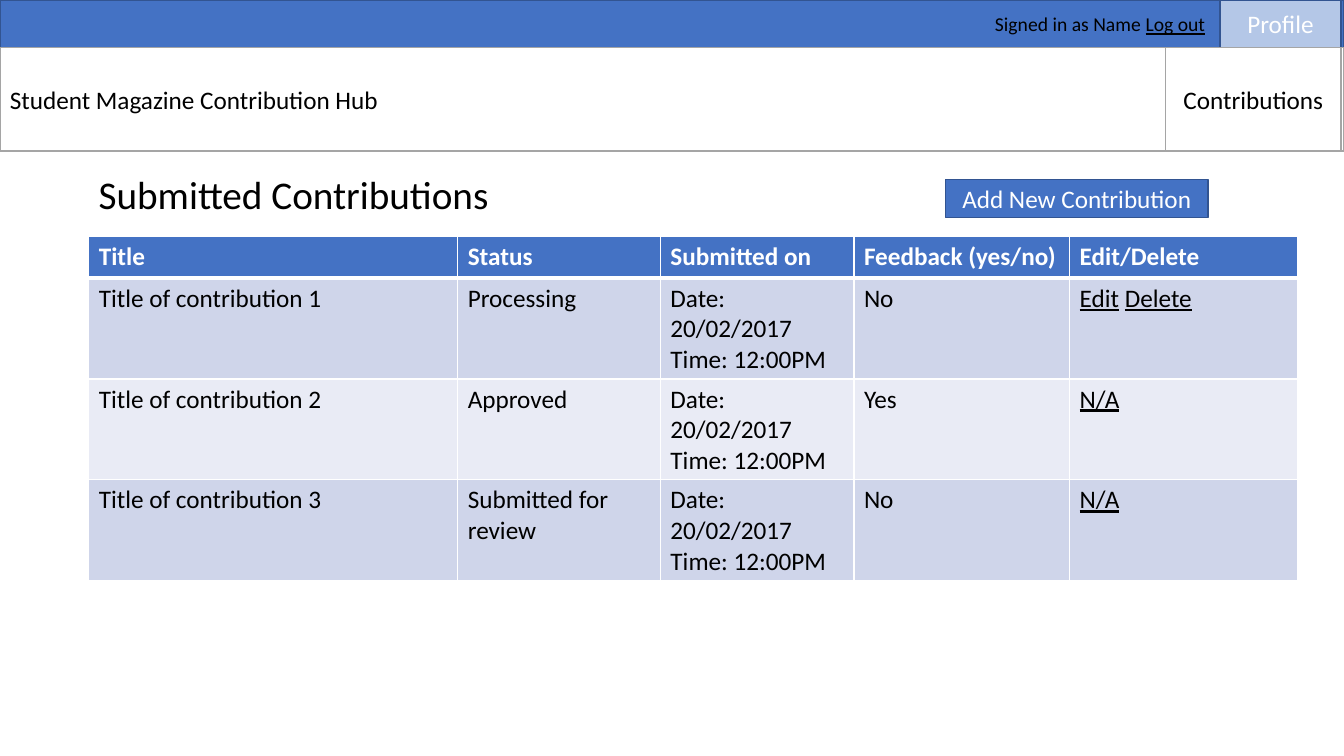
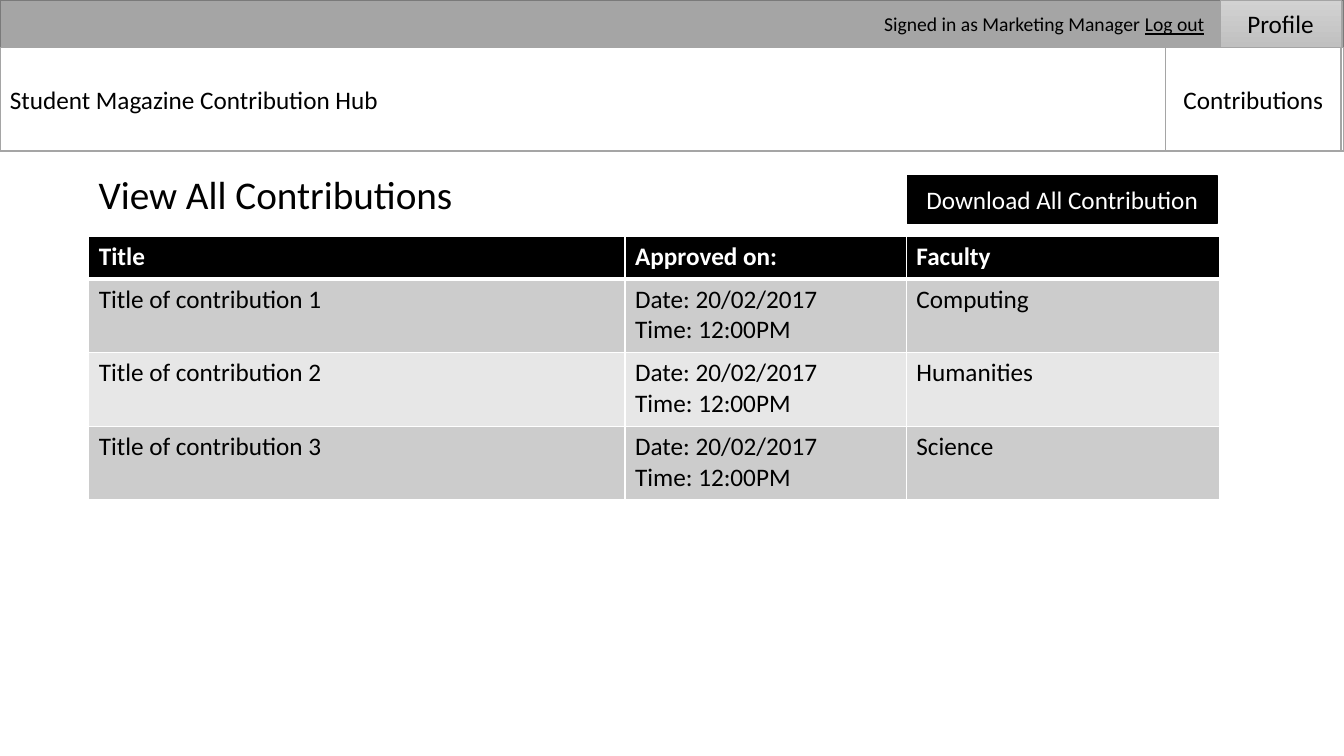
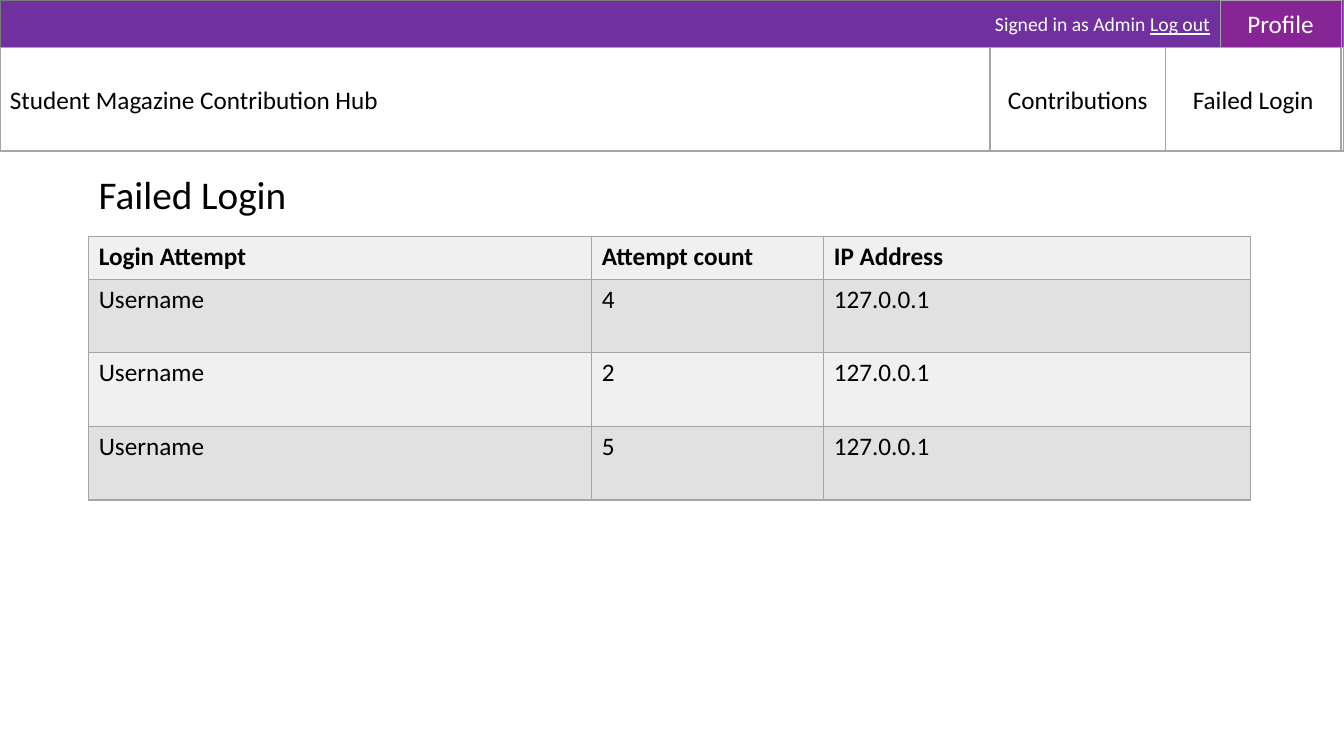
from lxml import etree
from pptx import Presentation
from pptx import util as u
from pptx.dml import color
from pptx.enum import shapes, text
from pptx.oxml import ns

FONT = "Calibri"
BLACK, WHITE, GRAY, BLUE, NAVY = "000000", "FFFFFF", "A5A5A5", "4472C4", "325491"
SLIDE_WIDTH, SLIDE_HEIGHT = 13.33, 7.5
BAR_HEIGHT, BANNER_HEIGHT = 0.47, 1.03
CONTENT_LEFT, TITLE_TOP, TABLE_TOP = 0.88, 1.64, 2.35
RIGHT_EDGE, TAB_WIDTH, PROFILE_WIDTH = 13.3, 1.74, 1.2


def rgb(value):
    return color.RGBColor.from_string(value)


def inches(*box):
    return [u.Inches(value) for value in box]


def write(frame, content, size=18, hue=BLACK, bold=False, align=text.PP_ALIGN.LEFT):
    """Text between underscores is underlined; each line is a paragraph."""
    for index, line in enumerate(content.split("\n")):
        paragraph = frame.paragraphs[0] if index == 0 else frame.add_paragraph()
        paragraph.alignment = align
        for position, part in enumerate(line.split("_")):
            if part:
                run = paragraph.add_run()
                run.text = part
                run.font.name = FONT
                run.font.size = u.Pt(size)
                run.font.bold = bold
                run.font.underline = position % 2 == 1
                run.font.color.rgb = rgb(hue)


def add_box(slide, box, fill, line, label="", hue=BLACK, weight=1,
            align=text.PP_ALIGN.CENTER):
    shape = slide.shapes.add_shape(shapes.MSO_SHAPE.RECTANGLE, *inches(*box))
    shape.shadow.inherit = False
    if isinstance(fill, tuple):
        shape.fill.gradient()
        shape.fill.gradient_angle = 270
        for stop, stop_color, position in zip(shape.fill.gradient_stops, fill, (0, 1)):
            stop.color.rgb = rgb(stop_color)
            stop.position = position
    else:
        shape.fill.solid()
        shape.fill.fore_color.rgb = rgb(fill)
    shape.line.color.rgb = rgb(line)
    shape.line.width = u.Pt(weight)
    shape.text_frame.word_wrap = True
    shape.text_frame.vertical_anchor = text.MSO_ANCHOR.MIDDLE
    write(shape.text_frame, label, hue=hue, align=align)
    return shape


def add_label(slide, box, content, size, hue=BLACK):
    frame = slide.shapes.add_textbox(*inches(*box)).text_frame
    frame.word_wrap = False
    frame.auto_size = text.MSO_AUTO_SIZE.SHAPE_TO_FIT_TEXT
    write(frame, content, size, hue)


def set_opacity(shape, percent):
    fill_color = shape.element.spPr.find(ns.qn("a:solidFill")).find(ns.qn("a:srgbClr"))
    etree.SubElement(fill_color, ns.qn("a:alpha")).set("val", str(percent * 1000))


def add_header(slide, bar, bar_line, account, account_box, account_color,
               profile, profile_line, profile_weight, profile_color, tabs, opacity=100):
    add_box(slide, (0, 0, SLIDE_WIDTH, BAR_HEIGHT), bar, bar_line)
    left, width = account_box
    add_label(slide, (left, 0.07, width, 0.34), account, 14, account_color)
    button = add_box(slide, (RIGHT_EDGE - PROFILE_WIDTH, 0, PROFILE_WIDTH, BAR_HEIGHT),
                     profile, profile_line, "Profile", profile_color, profile_weight)
    if opacity < 100:
        set_opacity(button, opacity)
    add_box(slide, (0, BAR_HEIGHT, SLIDE_WIDTH, BANNER_HEIGHT), WHITE, GRAY,
            "Student Magazine Contribution Hub", align=text.PP_ALIGN.LEFT)
    for index, tab in enumerate(tabs):
        tab_left = RIGHT_EDGE - TAB_WIDTH * (len(tabs) - index)
        add_box(slide, (tab_left, BAR_HEIGHT, TAB_WIDTH, BANNER_HEIGHT), WHITE, GRAY, tab)


def set_borders(cell, hue, top, bottom):
    properties = cell._tc.get_or_add_tcPr()
    for side, weight in (("L", 1), ("R", 1), ("T", top), ("B", bottom)):
        border = etree.SubElement(properties, ns.qn("a:ln" + side), w=str(u.Pt(weight)))
        fill = etree.SubElement(border, ns.qn("a:solidFill"))
        etree.SubElement(fill, ns.qn("a:srgbClr"), val=hue)


def add_listing(slide, title, title_width, columns, row_height, rows, header_fill,
                header_color, bands, border, header_rule, header_height):
    add_label(slide, (CONTENT_LEFT, TITLE_TOP, title_width, 0.57), title, 28)
    heights = [header_height] + [row_height] * (len(rows) - 1)
    table = slide.shapes.add_table(
        len(rows), len(columns),
        *inches(CONTENT_LEFT, TABLE_TOP, sum(columns), sum(heights))).table
    table.first_row = table.horz_banding = False
    for column, width in zip(table.columns, columns):
        column.width = u.Inches(width)
    for index, (values, height) in enumerate(zip(rows, heights)):
        table.rows[index].height = u.Inches(height)
        heading = index == 0
        for cell, value in zip(table.rows[index].cells, values):
            set_borders(cell, border, header_rule if index == 1 else 1,
                        header_rule if heading else 1)
            cell.fill.solid()
            cell.fill.fore_color.rgb = rgb(header_fill if heading else bands[(index - 1) % 2])
            write(cell.text_frame, value, hue=header_color if heading else BLACK, bold=heading)


def build_submitted(slide):
    add_header(slide, BLUE, NAVY, "Signed in as Name _Log out_", (9.77, 2.3), BLACK,
               "B4C7E7", NAVY, 1, WHITE, ["Contributions"])
    date = "Date: 20/02/2017\nTime: 12:00PM"
    rows = [
        ("Title", "Status", "Submitted on", "Feedback (yes/no)", "Edit/Delete"),
        ("Title of contribution 1", "Processing", date, "No", "_Edit_ _Delete_"),
        ("Title of contribution 2", "Approved", date, "Yes", "_N/A_"),
        ("Title of contribution 3", "Submitted for review", date, "No", "_N/A_"),
    ]
    add_listing(slide, "Submitted Contributions", 4.12, (3.66, 2.01, 1.92, 2.14, 2.26), 1,
                rows, BLUE, WHITE, ("CFD5EA", "E9EBF5"), WHITE, 3, 0.41)
    add_box(slide, (9.38, 1.78, 2.6, 0.38), BLUE, NAVY, "Add New Contribution", WHITE)


def build_all_contributions(slide):
    add_header(slide, GRAY, "7A7A7A", "Signed in as Marketing Manager _Log out_",
               (8.67, 3.41), BLACK, ("D2D2D2", "C0C0C0"), GRAY, 0.5, BLACK,
               ["Contributions"])
    date = "Date: 20/02/2017\nTime: 12:00PM"
    rows = [("Title", "Approved on:", "Faculty")]
    for number, faculty in enumerate(("Computing", "Humanities", "Science"), 1):
        rows.append((f"Title of contribution {number}", date, faculty))
    add_listing(slide, "View All Contributions", 3.75, (5.32, 2.79, 3.11), 0.73,
                rows, BLACK, WHITE, ("CCCCCC", "E7E7E7"), WHITE, 3, 0.42)
    add_box(slide, (9, 1.74, 3.07, 0.48), BLACK, BLACK, "Download All Contribution", WHITE)


def build_failed_login(slide):
    add_header(slide, "7030A0", "7A7A7A", "Signed in as Admin _Log out_", (9.77, 2.35),
               WHITE, "942092", GRAY, 0.5, WHITE, ["Contributions", "Failed Login"], 67)
    rows = [("Login Attempt", "Attempt count", "IP Address")]
    rows += [("Username", count, "127.0.0.1") for count in ("4", "2", "5")]
    add_listing(slide, "Failed Login", 2.08, (4.99, 2.3, 4.23), 0.73,
                rows, "F0F0F0", BLACK, ("E1E1E1", "F0F0F0"), GRAY, 1, 0.42)


presentation = Presentation()
presentation.slide_width, presentation.slide_height = inches(SLIDE_WIDTH, SLIDE_HEIGHT)
for build in (build_submitted, build_all_contributions, build_failed_login):
    build(presentation.slides.add_slide(presentation.slide_layouts[6]))
presentation.save("out.pptx")
